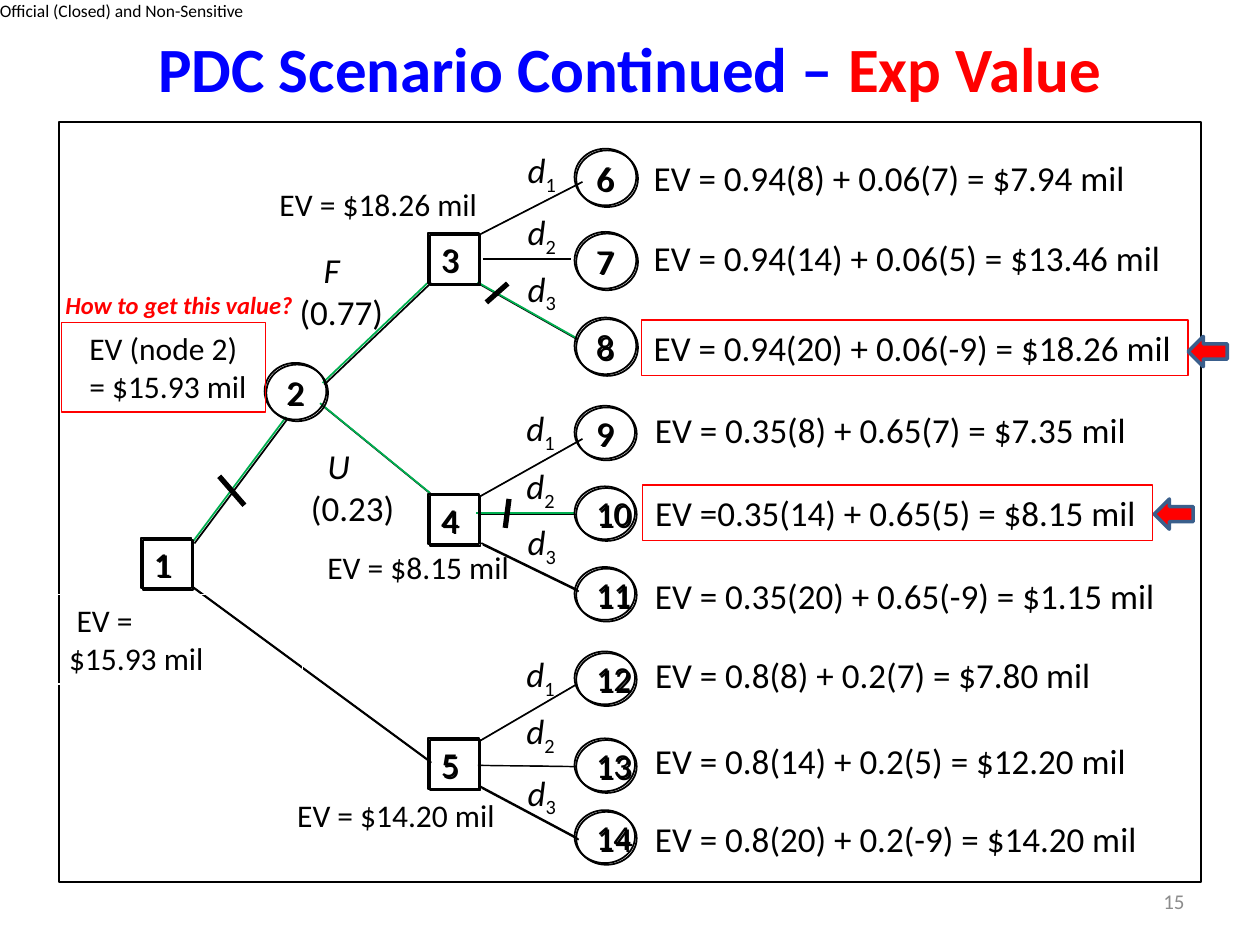
from lxml.etree import SubElement
from pptx import Presentation
from pptx.dml.color import RGBColor
from pptx.enum.shapes import MSO_CONNECTOR as LINK, MSO_SHAPE as SHAPE
from pptx.enum.text import MSO_ANCHOR as ANCHOR, MSO_AUTO_SIZE as FIT, PP_ALIGN as ALIGN
from pptx.oxml.ns import qn
from pptx.util import Cm, Pt

COLORS = {"black": "000000", "white": "FFFFFF", "red": "FF0000", "blue": "0000FF",
          "green": "00B050", "gray": "8C8C8C", "steel": "3A5F8C"}


def inch(value):
    return Cm(value * 2.54)


def rgb(name):
    return RGBColor.from_string(COLORS[name])


class TreePage:
    """Style and drawing methods for one decision tree page."""
    font = "Calibri"

    def __init__(self, deck):
        self.page = deck.slides.add_slide(deck.slide_layouts[5])

    def effects(self, item, shadow):
        effects = SubElement(item._element.spPr, qn("a:effectLst"))
        if shadow:
            outer = SubElement(effects, qn("a:outerShdw"), dist="17780", dir="2700000",
                               algn="ctr", rotWithShape="0")
            SubElement(outer, qn("a:srgbClr"), val=COLORS["black"])

    def fill_text(self, frame, lines, size, color="black", align=ALIGN.LEFT,
                  anchor=ANCHOR.TOP, wrap=False, fit=FIT.NONE, indents=(), inset=None):
        """Each line is a list of (text, format) spans."""
        values = {"word_wrap": wrap, "auto_size": fit, "vertical_anchor": anchor}
        if inset is not None:
            values.update(dict.fromkeys(
                ("margin_left", "margin_top", "margin_right", "margin_bottom"), inset))
        for name, value in values.items():
            setattr(frame, name, value)
        for index, line in enumerate(lines):
            para = frame.paragraphs[0] if index == 0 else frame.add_paragraph()
            para.alignment = align
            if index < len(indents):
                para._p.get_or_add_pPr().set("marL", str(inch(indents[index])))
            for text, extra in line:
                span = para.add_run()
                span.text = text
                look = {"name": self.font, "size": Pt(size), **extra}
                tint = look.pop("color", color)
                base = look.pop("base", None)
                for name, value in look.items():
                    setattr(span.font, name, value)
                span.font.color.rgb = rgb(tint)
                if base:
                    span._r.get_or_add_rPr().set("baseline", str(base))

    def title(self, place, spans):
        title = self.page.shapes.title
        title.left, title.top, title.width, title.height = map(inch, place)
        self.fill_text(title.text_frame, [spans], 36, align=ALIGN.CENTER,
                       anchor=ANCHOR.MIDDLE, wrap=True)

    def text(self, place, lines, size=20, fit=FIT.SHAPE_TO_FIT_TEXT, **style):
        box = self.page.shapes.add_textbox(*map(inch, place))
        self.fill_text(box.text_frame, lines, size, fit=fit, **style)

    def shape(self, kind, place, line="black", width=1, fill=None, shadow=False):
        shape = self.page.shapes.add_shape(kind, *map(inch, place))
        if fill:
            shape.fill.solid()
            shape.fill.fore_color.rgb = rgb(fill)
        else:
            shape.fill.background()
        shape.line.color.rgb = rgb(line)
        shape.line.width = Pt(width)
        self.effects(shape, shadow)
        return shape

    def framed(self, place, lines, size=20, line="red", **style):
        box = self.shape(SHAPE.RECTANGLE, place, line, 0.75)
        self.fill_text(box.text_frame, lines, size, fit=FIT.SHAPE_TO_FIT_TEXT, **style)

    def node(self, kind, place, number):
        node = self.shape(kind, place, shadow=True)
        self.fill_text(node.text_frame, [[(str(number), {})]], 20, anchor=ANCHOR.MIDDLE)

    def line(self, ends, color="black", width=1, shadow=True):
        line = self.page.shapes.add_connector(LINK.STRAIGHT, *map(inch, ends))
        line.line.color.rgb = rgb(color)
        line.line.width = Pt(width)
        self.effects(line, shadow)

    def arrow(self, left, top):
        arrow = self.shape(SHAPE.RIGHT_ARROW, (left, top, 0.31, 0.24), "steel", 2, "red")
        arrow.rotation = 180


def plain(*lines):
    return [[(line, {})] for line in lines]


# Branches: color, ends
BRANCHES = [
    ("green", (1.53, 4.3, 2.27, 3.31)), ("black", (1.52, 4.65, 3.41, 6.04)),
    ("green", (2.56, 3.04, 3.41, 2.23)), ("green", (2.54, 3.2, 3.41, 3.91)),
    ("white", (3.79, 1.85, 4.61, 1.43)), ("white", (3.82, 2.04, 4.52, 2.04)),
    ("green", (3.79, 2.24, 4.57, 2.68)),
    ("white", (3.79, 3.93, 4.61, 3.47)), ("green", (3.78, 4.07, 4.56, 4.07)),
    ("black", (3.82, 4.31, 4.58, 4.68)),
    ("white", (3.79, 5.87, 4.56, 5.42)), ("white", (3.78, 6.06, 4.56, 6.07)),
    ("black", (3.81, 6.24, 4.58, 6.65)),
]
TICKS = [(1.74, 3.78, 1.94, 4.01), (4.04, 3.96, 4.01, 4.19), (3.86, 2.4, 4.03, 2.25)]
SQUARES = {1: (1.12, 4.27), 3: (3.4, 1.85), 4: (3.4, 3.92), 5: (3.4, 5.86)}
# Outcomes from node 6 on: circle top, label left and top, formula top and width, formula
OUTCOMES = [
    (1.18, 4.09, 1.13, 1.19, 3.97, "EV = 0.94(8) + 0.06(7) = $7.94 mil"),
    (1.84, 4.09, 1.62, 1.83, 4.26, "EV = 0.94(14) + 0.06(5) = $13.46 mil"),
    (2.52, 4.09, 2.07, 2.54, 4.34, "EV = 0.94(20) + 0.06(-9) = $18.26 mil"),
    (3.22, 4.08, 3.18, 3.19, 3.97, "EV = 0.35(8) + 0.65(7) = $7.35 mil"),
    (3.86, 4.08, 3.64, 3.85, 4.05, "EV =0.35(14) + 0.65(5) = $8.15 mil"),
    (4.5, 4.09, 4.08, 4.51, 4.2, "EV = 0.35(20) + 0.65(-9) = $1.15 mil"),
    (5.17, 4.08, 5.13, 5.14, 3.69, "EV = 0.8(8) + 0.2(7) = $7.80 mil"),
    (5.86, 4.08, 5.58, 5.82, 3.97, "EV = 0.8(14) + 0.2(5) = $12.20 mil"),
    (6.43, 4.09, 6.07, 6.44, 4.06, "EV = 0.8(20) + 0.2(-9) = $14.20 mil"),
]
BEST = {8, 10}


def main():
    deck = Presentation()
    deck.slide_width, deck.slide_height = inch(10), inch(7.5)
    tree = TreePage(deck)

    # Header, title and page number
    tree.text((0, 0, 1.97, 0.17), plain("Official (Closed) and Non-Sensitive"), 10, inset=0)
    tree.title((0.5, 0.13, 9, 0.81), [
        ("PDC Scenario Continued – ", {"bold": True, "color": "blue"}),
        ("Exp Value", {"bold": True, "color": "red"})])
    tree.text((7.17, 6.95, 2.33, 0.4), plain("15"), 12, fit=FIT.NONE, color="gray",
              align=ALIGN.RIGHT, anchor=ANCHOR.MIDDLE, wrap=True)

    # Frame and branches
    tree.shape(SHAPE.RECTANGLE, (0.47, 0.97, 9.06, 6.03))
    for color, ends in BRANCHES:
        tree.line(ends, color)

    # Decision and chance nodes
    for number, corner in SQUARES.items():
        tree.node(SHAPE.RECTANGLE, (*corner, 0.4, 0.4), number)
    tree.node(SHAPE.OVAL, (2.1, 2.88, 0.49, 0.45), 2)

    # Outcomes with decision labels and expected values
    for index, (top, label_left, label_top, ev_top, ev_width, formula) in enumerate(OUTCOMES):
        number = index + 6
        size = (0.49, 0.45) if number < 9 else (0.48, 0.42)
        tree.node(SHAPE.OVAL, (4.56, top, *size), number)
        tree.text((label_left, label_top, 0.44, 0.44),
                  [[("d", {"italic": True}), (str(index % 3 + 1), {"base": -25000})]])
        draw = tree.framed if number in BEST else tree.text
        draw((5.09 if number < 9 else 5.1, ev_top, ev_width, 0.44), plain(formula))

    # Chance labels
    for left, top, letter, chance, indent in [(2.28, 1.92, "F", "(0.77)", 0.19),
                                              (2.37, 3.48, "U", "(0.23)", 0.13)]:
        tree.text((left, top, 0.87, 0.77), [[(letter, {"italic": True})], [(chance, {})]],
                  indents=(indent, 0))

    # Expected values at the inner nodes
    for place, value, indent in [((1.72, 1.42, 2.34, 0.4), "EV = $18.26 mil", 0.4),
                                 ((2.27, 4.3, 1.93, 0.4), "EV = $8.15 mil", 0.23),
                                 ((1.76, 6.27, 2.29, 0.4), "EV = $14.20 mil", 0.5)]:
        tree.text(place, plain(value), 18, wrap=True, indents=(indent,))
    tree.framed((0.49, 2.56, 1.62, 0.71), plain("EV (node 2) = $15.93 mil"), 18,
                wrap=True, indents=(0.12,))
    tree.framed((0.33, 4.72, 2.07, 0.71), plain("EV =", "$15.93 mil"), 18, "white",
                wrap=True, indents=(0.18, 0.12))

    # Chosen branches, question and arrows
    for ends in TICKS:
        tree.line(ends, width=3, shadow=False)
    tree.text((0.42, 2.25, 2.01, 0.34),
              [[("How to get this value?", {"bold": True, "italic": True})]], 14, color="red")
    for left, top in [(9.43, 2.67), (9.16, 3.96)]:
        tree.arrow(left, top)

    deck.save("out.pptx")


if __name__ == "__main__":
    main()
